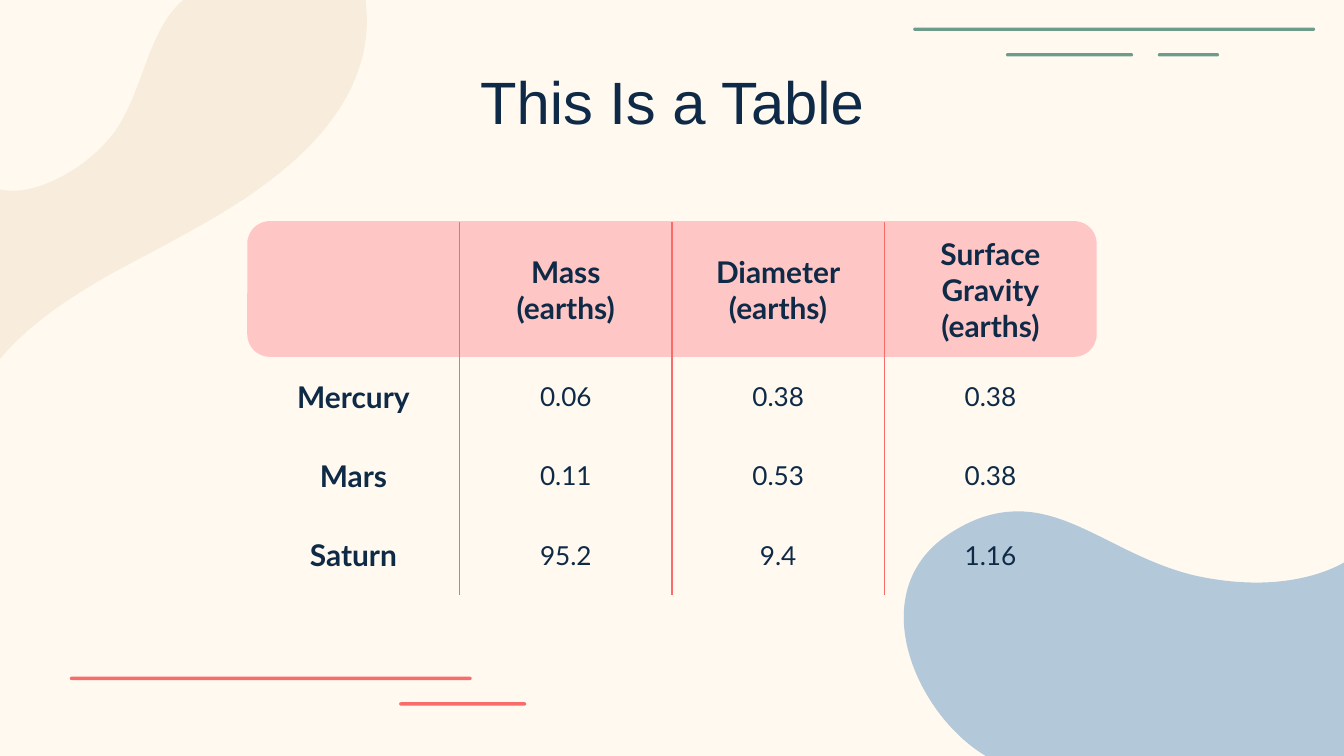
from lxml import etree
from pptx import Presentation, util as u
from pptx.dml.color import RGBColor
from pptx.enum import shapes, text
from pptx.oxml import ns

PX = 9144  # EMU per px, 100 px to the inch

CREAM = RGBColor(0xFF, 0xF9, 0xF0)
SAND = RGBColor(0xF8, 0xED, 0xDD)
BLUE = RGBColor(0xB3, 0xC9, 0xDA)
GREEN = RGBColor(0x6D, 0x9C, 0x8B)
CORAL = RGBColor(0xF8, 0x6C, 0x6C)
PINK = RGBColor(0xFF, 0xC6, 0xC6)
NAVY = RGBColor(0x0E, 0x2A, 0x47)

PLAIN_TABLE = "{2D5ABB26-0587-4C30-8999-92F81FD0307C}"

# Outlines in px: a segment of one point is a line, of three points a curve
SAND_START = (273, 0)
SAND_BLOB = [
    [(219, 43), (212, 145), (166, 202)],
    [(131, 246), (68, 284), (18, 284)],
    [(12, 284), (6, 283), (0, 282)],
    [(0, 534)],
    [(44, 482), (102, 444), (161, 410)],
    [(230, 372), (300, 338), (365, 295)],
    [(427, 253), (487, 202), (521, 134)],
    [(540, 96), (549, 53), (545, 11)],
    [(545, 7), (545, 4), (544, 0)],
]
BLUE_START = (235, 0)
BLUE_BLOB = [
    [(320, 0), (390, 69), (496, 95)],
    [(531, 103), (563, 106), (590, 106)],
    [(674, 106), (720, 76), (720, 76)],
    [(720, 364)],
    [(187, 364)],
    [(81, 301), (0, 114), (138, 30)],
    [(173, 8), (205, 0), (235, 0)],
]

GREEN_BARS = [(0, 0, 598), (138, 38, 189), (364, 38, 91)]
CORAL_BARS = [(0, 0, 598), (490, 38, 189)]

ROWS = [
    ["", "Mass\n(earths)", "Diameter\n(earths)", "Surface Gravity\n(earths)"],
    ["Mercury", "0.06", "0.38", "0.38"],
    ["Mars", "0.11", "0.53", "0.38"],
    ["Saturn", "95.2", "9.4", "1.16"],
]


def px(*values):
    return [u.Emu(v * PX) for v in values]


def paint(shape, color):
    shape.shadow.inherit = False
    shape.fill.solid()
    shape.fill.fore_color.rgb = color
    shape.line.fill.background()


def add_round_rect(s, x, y, w, h, adj, color):
    shape = s.shapes.add_shape(shapes.MSO_SHAPE.ROUNDED_RECTANGLE, *px(x, y, w, h))
    shape.adjustments[0] = adj
    paint(shape, color)


def add_blob(s, x, y, start, segments, color):
    points = [point for segment in segments for point in segment]
    builder = s.shapes.build_freeform(*start, scale=PX)
    builder.add_line_segments(points, close=True)
    shape = builder.convert_to_shape(*px(x, y))
    paint(shape, color)

    # Join each three-point segment into one cubic curve
    lines = iter(list(shape._element.iter(ns.qn("a:lnTo"))))
    for segment in segments:
        group = [next(lines) for _ in segment]
        if len(group) == 3:
            curve = etree.Element(ns.qn("a:cubicBezTo"))
            group[0].addprevious(curve)
            for line in group:
                curve.append(line[0])
                line.getparent().remove(line)


def add_bars(s, x, y, bars, color):
    for dx, dy, w in bars:
        add_round_rect(s, x + dx, y + dy, w, 5, 0.5, color)


def add_title(s, x, y, w, h):
    tf = s.shapes.add_textbox(*px(x, y, w, h)).text_frame
    tf.word_wrap = True
    tf.vertical_anchor = text.MSO_ANCHOR.MIDDLE
    tf.margin_left = tf.margin_right = tf.margin_top = tf.margin_bottom = u.Emu(20 * PX)
    p = tf.paragraphs[0]
    p.text = "This Is a Table"
    p.alignment = text.PP_ALIGN.CENTER
    p.line_spacing = 0.8
    p.font.name, p.font.size = "Arial", u.Pt(64)
    p.font.color.rgb = NAVY


def set_border(cell, tag, color):
    """Draw one side of a cell; call for the right side before the left."""
    ln = etree.Element(ns.qn(tag), w=str(u.Pt(1.5)))
    fill = etree.SubElement(ln, ns.qn("a:solidFill"))
    etree.SubElement(fill, ns.qn("a:srgbClr"), val=str(color))
    cell._tc.get_or_add_tcPr().insert(0, ln)


def fill_cell(cell, words, bold):
    cell.fill.background()
    cell.vertical_anchor = text.MSO_ANCHOR.MIDDLE
    cell.margin_left = cell.margin_right = u.Emu(20 * PX)
    cell.margin_top = cell.margin_bottom = u.Emu(20 * PX)
    cell.text = words
    for p in cell.text_frame.paragraphs:
        p.alignment = text.PP_ALIGN.CENTER
        p.font.name, p.font.size = "Lato", u.Pt(32 if bold else 28)
        p.font.bold = bold
        p.font.color.rgb = NAVY


def add_planet_table(s, x, y, w):
    # Header panel, then the table over it
    add_round_rect(s, x, y - 2, w, 202, 0.167, PINK)
    heights = [169, 118, 118, 118]
    frame = s.shapes.add_table(len(ROWS), len(ROWS[0]), *px(x, y, w, sum(heights)))
    table = frame.table
    table.first_row = table.horz_banding = False
    table._tbl.tblPr.find(ns.qn("a:tableStyleId")).text = PLAIN_TABLE
    for row, height in zip(table.rows, heights):
        row.height = u.Emu(height * PX)

    last = len(ROWS[0]) - 1
    for r, row in enumerate(ROWS):
        for c, words in enumerate(row):
            cell = table.cell(r, c)
            fill_cell(cell, words, bold=r == 0 or c == 0)
            # Rules between columns only
            if c < last:
                set_border(cell, "a:lnR", CORAL)
            if c > 0:
                set_border(cell, "a:lnL", CORAL)


def main():
    prs = Presentation()
    prs.slide_width, prs.slide_height = px(2000, 1125)
    s = prs.slides.add_slide(prs.slide_layouts[6])
    s.background.fill.solid()
    s.background.fill.fore_color.rgb = CREAM

    # Decoration
    add_blob(s, 0, 0, SAND_START, SAND_BLOB, SAND)
    add_blob(s, 1280, 761, BLUE_START, BLUE_BLOB, BLUE)
    add_bars(s, 1359, 41, GREEN_BARS, GREEN)
    add_bars(s, 104, 1007, CORAL_BARS, CORAL)

    # Content
    add_title(s, 159, 97, 1682, 125)
    add_planet_table(s, 368, 331, 1264)
    prs.save("out.pptx")


if __name__ == "__main__":
    main()
